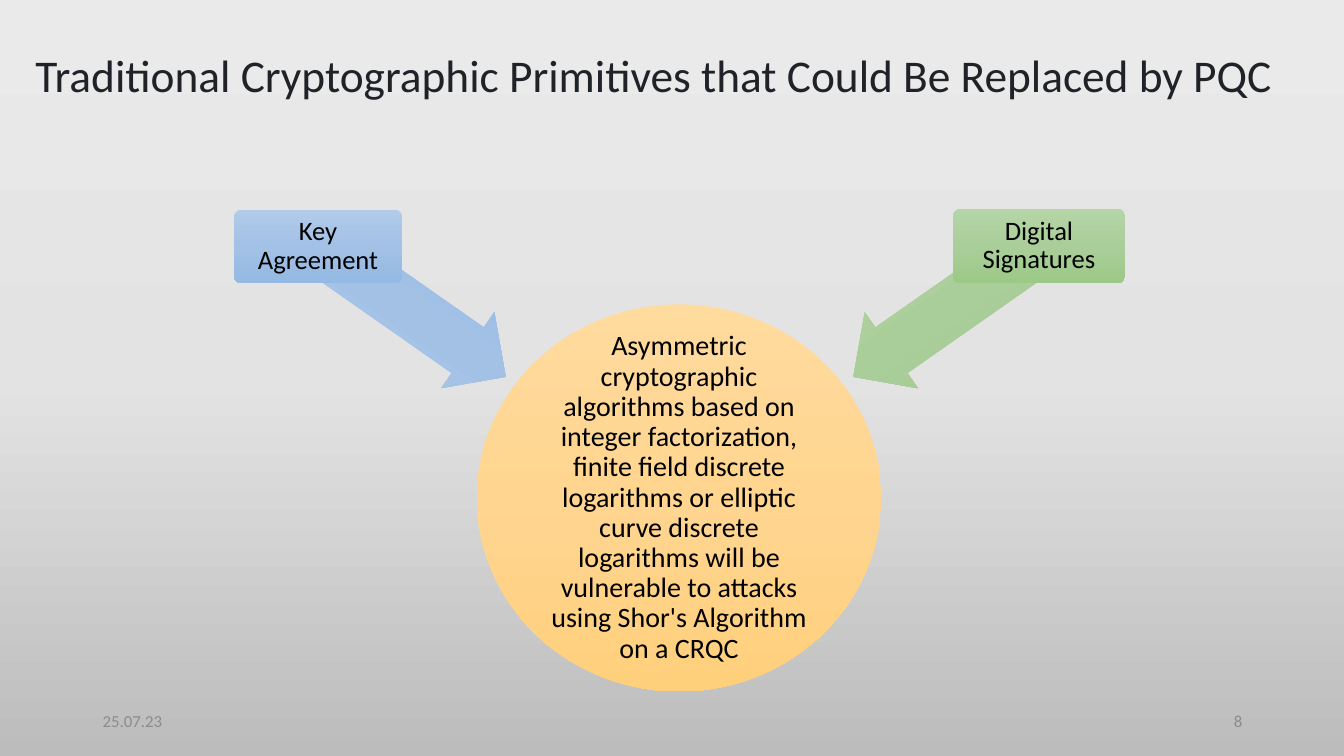
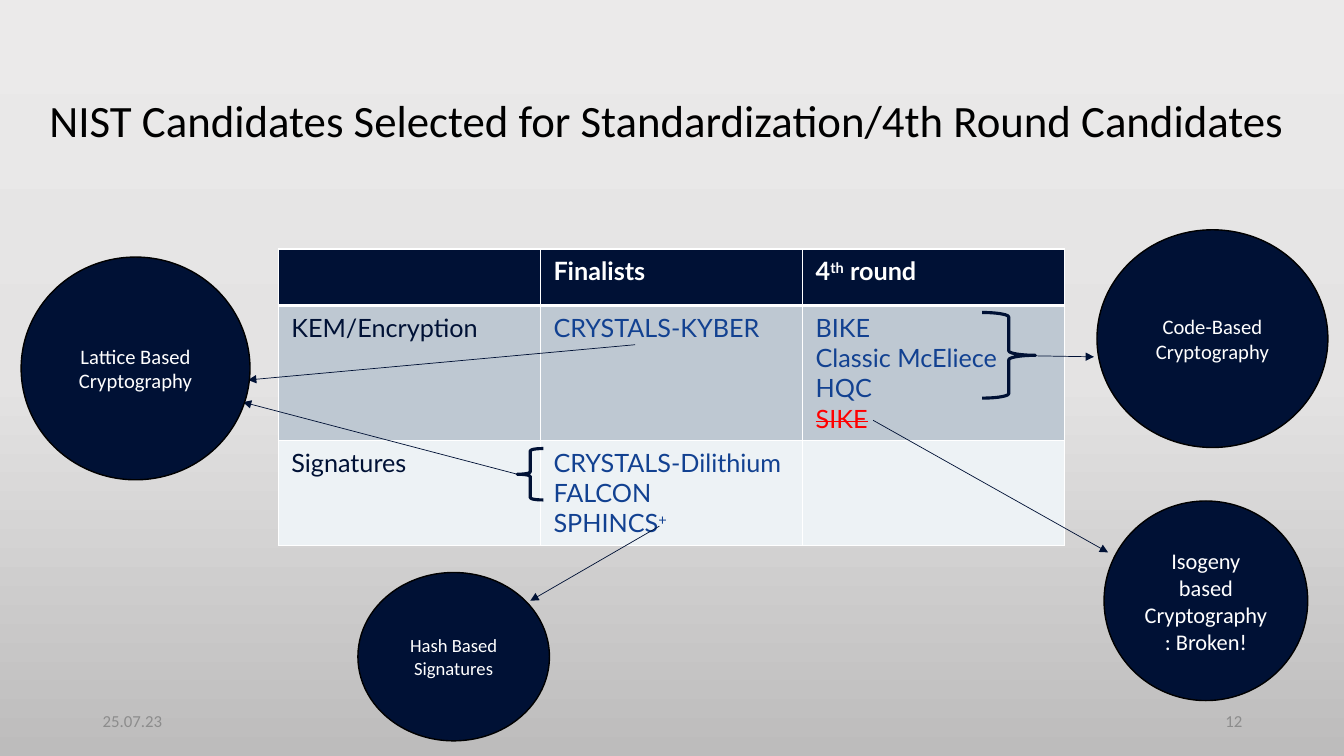
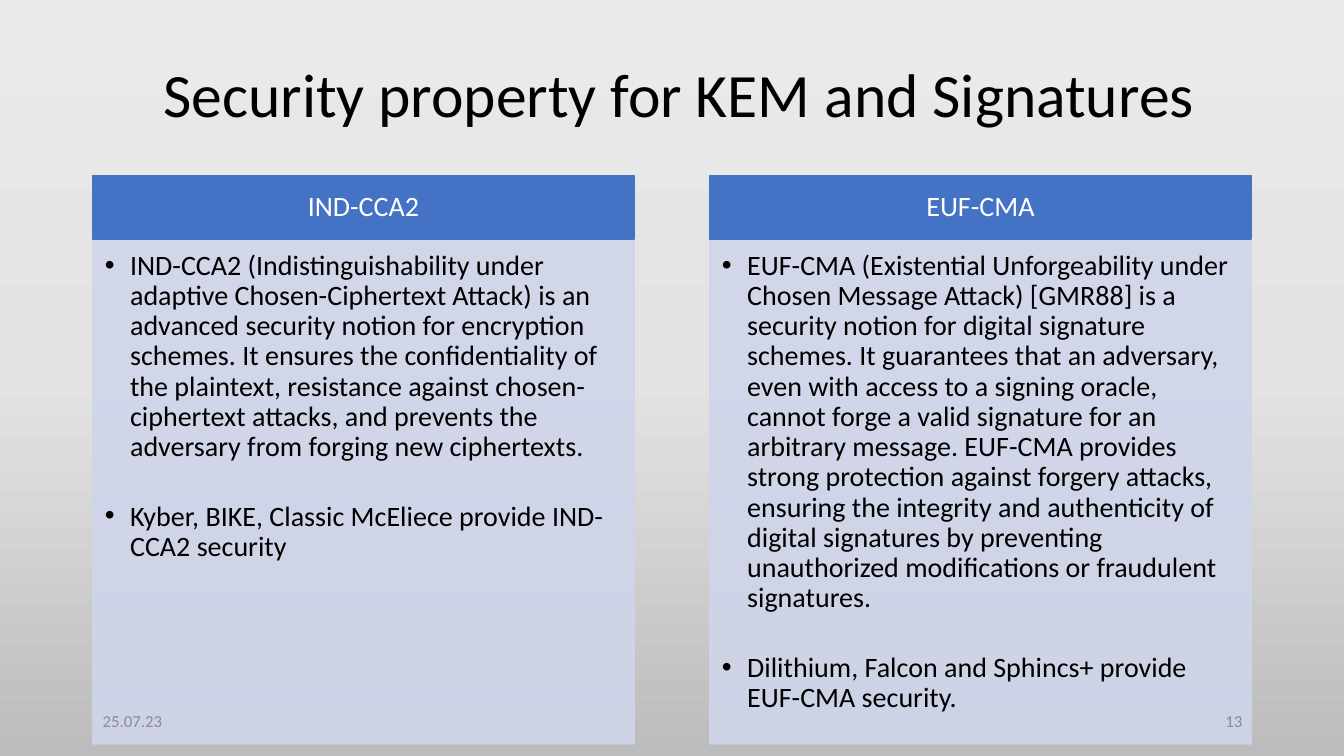
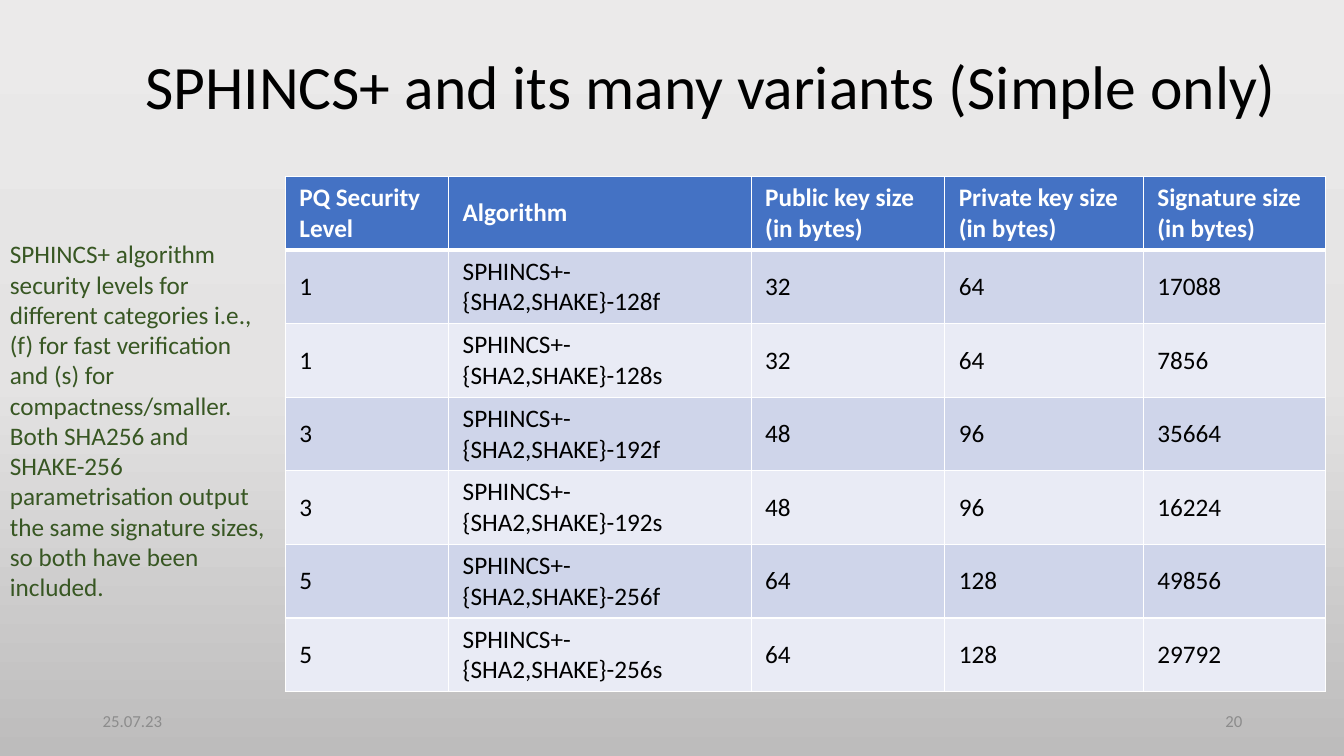
from copy import deepcopy

from lxml import etree
from pptx import Presentation
from pptx import util as u
from pptx.dml.color import RGBColor
from pptx.enum import shapes, text
from pptx.oxml import ns

BLACK = RGBColor(0x00, 0x00, 0x00)
WHITE = RGBColor(0xFF, 0xFF, 0xFF)
RED = RGBColor(0xFF, 0x00, 0x00)
INK = RGBColor(0x1F, 0x23, 0x28)
GREY = RGBColor(0x8C, 0x8C, 0x8C)
NAVY = RGBColor(0x00, 0x11, 0x35)
LINK_BLUE = RGBColor(0x12, 0x41, 0x91)
SLATE = RGBColor(0xBE, 0xC8, 0xD2)
MIST = RGBColor(0xED, 0xF2, 0xF5)
BLUE = RGBColor(0x44, 0x72, 0xC4)
LAVENDER = RGBColor(0xCF, 0xD5, 0xEA)
PALE = RGBColor(0xE9, 0xEB, 0xF5)
DARK_GREEN = RGBColor(0x38, 0x57, 0x23)
BACKDROP = (RGBColor(0xEB, 0xEA, 0xEA), RGBColor(0xE4, 0xE3, 0xE3), RGBColor(0xBD, 0xBC, 0xBC))
ORANGE_FADE = (RGBColor(0xFF, 0xDB, 0x9E), RGBColor(0xFF, 0xD5, 0x90), RGBColor(0xFF, 0xD0, 0x7C))
BLUE_FADE = (RGBColor(0xB1, 0xCB, 0xE9), RGBColor(0xA3, 0xC1, 0xE5), RGBColor(0x93, 0xB9, 0xE4))
GREEN_FADE = (RGBColor(0xB5, 0xD5, 0xA7), RGBColor(0xAA, 0xCE, 0x9A), RGBColor(0x9C, 0xC9, 0x87))

FONT = "Calibri"
TABLE_FONT = "Lato"
DATE = "25.07.23"
LEFT, CENTER, RIGHT = text.PP_ALIGN.LEFT, text.PP_ALIGN.CENTER, text.PP_ALIGN.RIGHT
TOP, MIDDLE = text.MSO_ANCHOR.TOP, text.MSO_ANCHOR.MIDDLE
KIND = shapes.MSO_SHAPE
DEFAULT_INSET = (0.1, 0.05, 0.1, 0.05)
WIDE_INSET = (0.13, 0.07, 0.13, 0.07)


def inches(*lengths):
    """Turn plain numbers into lengths."""
    return [u.Inches(length) for length in lengths]


def within(box, left, top, width, height):
    """Shift a relative box by the corner of its parent box."""
    return box[0] + left, box[1] + top, width, height


def fade(fill, holder, colors):
    """Fill from top to bottom through three colours."""
    fill.gradient()
    fill.gradient_angle = 270
    stops = holder.find(".//" + ns.qn("a:gsLst"))
    stops.insert(1, deepcopy(stops[0]))
    for stop, color, position in zip(fill.gradient_stops, colors, (0, 0.5, 1)):
        stop.color.rgb = color
        stop.position = position


def style_font(run, size, color, font=FONT, bold=False):
    """Set the look of one run."""
    run.font.name = font
    run.font.size = u.Pt(size)
    run.font.bold = bold
    run.font.color.rgb = color


def style_text(frame, size, color, align=LEFT, anchor=MIDDLE, inset=DEFAULT_INSET, spacing=1.0):
    """Format a whole text frame."""
    frame.word_wrap = True
    frame.auto_size = text.MSO_AUTO_SIZE.NONE
    frame.vertical_anchor = anchor
    frame.margin_left, frame.margin_top, frame.margin_right, frame.margin_bottom = inches(*inset)
    for paragraph in frame.paragraphs:
        paragraph.alignment = align
        paragraph.line_spacing = spacing
        for run in paragraph.runs:
            style_font(run, size, color)


def add_label(slide, box, words, size, color, **look):
    """Add a plain text box."""
    frame = slide.shapes.add_textbox(*inches(*box)).text_frame
    frame.text = words
    style_text(frame, size, color, **look)


def add_figure(slide, kind, box, colors=None, outline=None, weight=1):
    """Add a preset shape with a plain, faded or empty fill."""
    figure = slide.shapes.add_shape(kind, *inches(*box))
    figure.shadow.inherit = False
    if colors is None:
        figure.fill.background()
    elif isinstance(colors, RGBColor):
        figure.fill.solid()
        figure.fill.fore_color.rgb = colors
    else:
        fade(figure.fill, figure._element.spPr, colors)
    if outline is None:
        figure.line.fill.background()
    else:
        figure.line.color.rgb = outline
        figure.line.width = u.Pt(weight)
    return figure


def add_arrow(slide, start, end):
    """Draw a thin navy line with an arrowhead at its end."""
    arrow = slide.shapes.add_connector(shapes.MSO_CONNECTOR.STRAIGHT, *inches(*start, *end))
    arrow.line.color.rgb = NAVY
    arrow.line.width = u.Pt(0.5)
    properties = arrow._element.spPr
    etree.SubElement(properties.find(ns.qn("a:ln")), ns.qn("a:tailEnd"), type="triangle")
    etree.SubElement(properties, ns.qn("a:effectLst"))


def format_cell(cell, color, header_edge):
    """Give a cell white borders and a fill; header_edge names the side with the thick line."""
    properties = cell._tc.get_or_add_tcPr()
    for side in ("lnL", "lnR", "lnT", "lnB"):
        weight = u.Pt(3 if side == header_edge else 1)
        border = etree.SubElement(properties, ns.qn("a:" + side), w=str(weight))
        paint = etree.SubElement(border, ns.qn("a:solidFill"))
        etree.SubElement(paint, ns.qn("a:srgbClr"), val=str(WHITE))
    cell.fill.solid()
    cell.fill.fore_color.rgb = color


def write_cell(cell, words, color, font, bold):
    """Write lines into a cell; parts between carets are superscript."""
    for number, line in enumerate(words.split("\n")):
        frame = cell.text_frame
        paragraph = frame.add_paragraph() if number else frame.paragraphs[0]
        for part, segment in enumerate(line.split("^")):
            if segment:
                run = paragraph.add_run()
                run.text = segment
                style_font(run, 18, color, font, bold)
                if part % 2:
                    run.font._element.set("baseline", "30000")


def add_grid(slide, corner, widths, heights, rows, fills, ink, font, inset, anchor):
    """Add a table with a header row, banded fills and white borders."""
    box = (*corner, sum(widths), sum(heights))
    table = slide.shapes.add_table(len(rows), len(widths), *inches(*box)).table
    for column, width in zip(table.columns, widths):
        column.width = u.Inches(width)
    for number, (row, height) in enumerate(zip(rows, heights)):
        table.rows[number].height = u.Inches(height)
        band = fills[0] if number == 0 else fills[2 - number % 2]
        edge = {0: "lnB", 1: "lnT"}.get(number)
        for place, words in enumerate(row):
            cell = table.cell(number, place)
            format_cell(cell, band, edge)
            cell.vertical_anchor = anchor
            cell.margin_left, cell.margin_top, cell.margin_right, cell.margin_bottom = inches(*inset)
            color = WHITE if number == 0 else ink[min(place, 1)]
            write_cell(cell, words, color, font, number == 0)
    return table


def start_slide(deck, layout, title, box, size, color=BLACK, align=LEFT, spacing=0.9):
    """Add a slide with a formatted title."""
    slide = deck.slides.add_slide(deck.slide_layouts.get_by_name(layout))
    heading = slide.shapes.title
    heading.left, heading.top, heading.width, heading.height = inches(*box)
    heading.text_frame.text = title
    style_text(heading.text_frame, size, color, align=align, spacing=spacing)
    return slide


def add_footer(slide, number):
    """Add the date and the slide number."""
    add_label(slide, (0.92, 6.95, 3, 0.4), DATE, 12, GREY)
    add_label(slide, (9.42, 6.95, 3, 0.4), number, 12, GREY, align=RIGHT)


def add_threat_diagram(slide, box):
    """Draw two primitives pointing at the circle that explains their weakness."""
    threat = add_figure(slide, KIND.OVAL, within(box, 2.41, 0.95, 4.01, 3.84), ORANGE_FADE)
    threat.text_frame.text = (
        "Asymmetric cryptographic algorithms based on integer factorization, finite field "
        "discrete logarithms or elliptic curve discrete logarithms will be vulnerable to "
        "attacks using Shor's Algorithm on a CRQC")
    style_text(threat.text_frame, 20, BLACK, CENTER, inset=(0.01,) * 4, spacing=0.9)
    primitives = (
        ("Key Agreement", (0, 0.01, 1.67, 0.73), 0.64, 215, BLUE_FADE),
        ("Digital Signatures", (7.13, 0, 1.71, 0.74), 5.94, 325, GREEN_FADE),
    )
    for name, place, arrow_left, turn, colors in primitives:
        pointer = add_figure(slide, KIND.LEFT_ARROW, within(box, arrow_left, 0.56, 2.26, 0.92), colors)
        pointer.rotation = turn
        pointer.adjustments[0], pointer.adjustments[1] = 0.6, 0.5
        primitive = add_figure(slide, KIND.ROUNDED_RECTANGLE, within(box, *place), colors)
        primitive.adjustments[0] = 0.1
        primitive.text_frame.text = name
        style_text(primitive.text_frame, 19, BLACK, CENTER, inset=(0.04,) * 4, spacing=0.9)


def add_family(slide, box, name, size, inset=WIDE_INSET):
    """Draw a navy circle naming a family of algorithms."""
    family = add_figure(slide, KIND.OVAL, box, NAVY, BLACK)
    family.text_frame.text = name
    style_text(family.text_frame, size, WHITE, CENTER, inset=inset)


def add_candidates(slide, corner):
    """Add the table of selected candidates with SIKE struck out."""
    rows = (
        ("", "Finalists", "4^th^ round"),
        ("KEM/Encryption", "CRYSTALS-KYBER", "BIKE\nClassic McEliece\nHQC\nSIKE"),
        ("Signatures", "CRYSTALS-Dilithium\nFALCON\nSPHINCS^+^", ""),
    )
    table = add_grid(slide, corner, (2.6,) * 3, (0.56, 1.33, 1.03), rows, (NAVY, SLATE, MIST),
                     (NAVY, LINK_BLUE), TABLE_FONT, WIDE_INSET, TOP)
    broken = table.cell(1, 2).text_frame.paragraphs[-1].runs[0]
    broken.font.color.rgb = RED
    broken.font._element.set("strike", "sngStrike")


def add_families(slide):
    """Link the candidates to the families they belong to."""
    for kind, box in ((KIND.RIGHT_BRACE, (9.74, 3.1, 0.53, 0.85)),
                      (KIND.LEFT_BRACE, (5.13, 4.45, 0.26, 0.51))):
        add_figure(slide, kind, box, None, NAVY, 2.25)
    for start, end in (((8.66, 4.17), (10.99, 5.48)), ((10.25, 3.53), (10.85, 3.54)),
                       ((6.3, 3.42), (2.46, 3.77)), ((5.15, 4.71), (2.41, 3.99)),
                       ((6.54, 5.22), (5.26, 5.96))):
        add_arrow(slide, start, end)
    add_family(slide, (10.95, 4.97, 2.02, 1.98), "Isogeny based Cryptography : Broken!", 16, DEFAULT_INSET)
    add_family(slide, (10.88, 2.28, 2.29, 2.16), "Code-Based Cryptography", 14.7)
    add_family(slide, (0.21, 2.55, 2.27, 2.21), "Lattice Based Cryptography", 14.7)
    add_family(slide, (3.55, 5.68, 1.9, 1.67), "Hash Based Signatures", 13.3)


def add_panel(slide, body, box, name, points):
    """Place a heading bar over a bulleted body placeholder."""
    left, top, width, height = box
    bar = 0.63
    heading = add_figure(slide, KIND.RECTANGLE, (left, top, width, bar), BLUE, BLUE)
    heading.text_frame.text = name
    style_text(heading.text_frame, 20, WHITE, CENTER, inset=(0.16, 0.09, 0.16, 0.09), spacing=0.9)
    body.left, body.top, body.width, body.height = inches(left, top + bar, width, height - bar)
    body.fill.solid()
    body.fill.fore_color.rgb = LAVENDER
    body.line.color.rgb = LAVENDER
    body.line.width = u.Pt(1)
    for color in body._element.spPr.iter(ns.qn("a:srgbClr")):
        etree.SubElement(color, ns.qn("a:alpha"), val="90000")
    body.text_frame.text = "\n".join(points)
    style_text(body.text_frame, 20, BLACK, anchor=TOP, inset=(0.12, 0.12, 0.16, 0.17), spacing=0.9)
    for paragraph in body.text_frame.paragraphs:
        paragraph.space_before = u.Pt(0)
        paragraph.space_after = u.Pt(28)
        indent = u.Inches(0.25)
        properties = paragraph._p.get_or_add_pPr()
        properties.set("marL", str(indent))
        properties.set("indent", str(-indent))


def build_primitives(deck):
    """Build the slide on threatened primitives."""
    slide = start_slide(deck, "Title Only",
                        "Traditional Cryptographic Primitives that Could Be Replaced by PQC",
                        (0.25, 0.32, 13.08, 0.9), 32.4, INK)
    add_threat_diagram(slide, (2.32, 2.07, 8.84, 4.79))
    add_footer(slide, "8")


def build_candidates(deck):
    """Build the slide on selected candidates."""
    slide = start_slide(deck, "Title Only",
                        "NIST Candidates Selected for Standardization/4th Round Candidates",
                        (0.2, 0.94, 12.64, 0.5), 32, align=RIGHT, spacing=1.0)
    add_candidates(slide, (2.76, 2.47))
    add_families(slide)
    add_footer(slide, "12")


def build_security(deck):
    """Build the slide on security notions."""
    slide = start_slide(deck, "Two Content", "Security property for KEM and Signatures",
                        (1.52, 0.24, 11.5, 1.45), 44)
    notions = (
        ("IND-CCA2", (
            "IND-CCA2 (Indistinguishability under adaptive Chosen-Ciphertext Attack) is an "
            "advanced security notion for encryption schemes. It ensures the confidentiality of "
            "the plaintext, resistance against chosen-ciphertext attacks, and prevents the "
            "adversary from forging new ciphertexts.",
            "Kyber, BIKE, Classic McEliece provide IND-CCA2 security")),
        ("EUF-CMA", (
            "EUF-CMA (Existential Unforgeability under Chosen Message Attack) [GMR88] is a "
            "security notion for digital signature schemes. It guarantees that an adversary, even "
            "with access to a signing oracle, cannot forge a valid signature for an arbitrary "
            "message. EUF-CMA provides strong protection against forgery attacks, ensuring the "
            "integrity and authenticity of digital signatures by preventing unauthorized "
            "modifications or fraudulent signatures.",
            "Dilithium, Falcon and Sphincs+ provide EUF-CMA security.")),
    )
    for column, (name, points) in enumerate(notions):
        box = (0.92 + 6.12 * column, 1.74, 5.37, 5.64)
        add_panel(slide, slide.placeholders[column + 1], box, name, points)
    add_footer(slide, "13")


def build_variants(deck):
    """Build the slide on SPHINCS+ variants."""
    slide = start_slide(deck, "Title Only", "SPHINCS+ and its many variants (Simple only)",
                        (1.34, 0.16, 11.5, 1.45), 44)
    header = ("PQ Security Level", "Algorithm", "Public key size (in bytes)",
              "Private key size (in bytes)", "Signature size (in bytes)")
    levels = ((1, 128, 32, (17088, 7856)), (3, 192, 48, (35664, 16224)), (5, 256, 64, (49856, 29792)))
    rows = [header]
    for level, bits, key, signatures in levels:
        for variant, signature in zip("fs", signatures):
            rows.append((str(level), f"SPHINCS+-{{SHA2,SHAKE}}-{bits}{variant}",
                         str(key), str(2 * key), str(signature)))
    add_grid(slide, (2.83, 1.75), (1.62, 3, 1.92, 1.97, 1.81), (0.73,) * 7, rows,
             (BLUE, LAVENDER, PALE), (BLACK, BLACK), FONT, (0.14, 0.06, 0.14, 0.06), MIDDLE)
    add_footer(slide, "20")
    add_label(slide, (0, 2.32, 2.83, 3.43),
              "SPHINCS+ algorithm security levels for different categories i.e., (f) for fast "
              "verification and (s) for compactness/smaller. Both SHA256 and SHAKE-256 "
              "parametrisation output the same signature sizes, so both have been included.",
              18, DARK_GREEN, anchor=TOP)


def main():
    """Build and save the deck."""
    deck = Presentation()
    deck.slide_width, deck.slide_height = inches(13.33, 7.5)
    master = deck.slide_master
    fade(master.background.fill, master._element, BACKDROP)
    for build in (build_primitives, build_candidates, build_security, build_variants):
        build(deck)
    deck.save("out.pptx")


if __name__ == "__main__":
    main()
